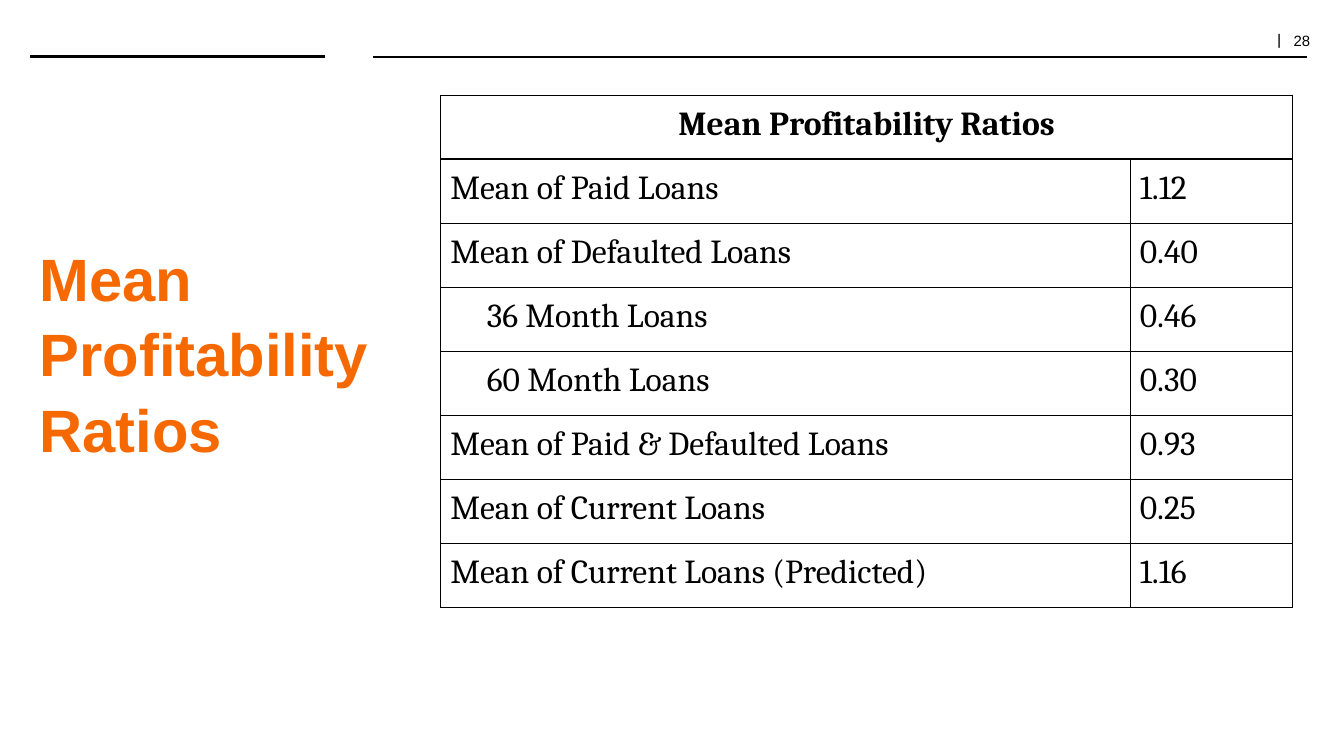
from lxml.etree import SubElement
from pptx import Presentation
from pptx.dml.color import RGBColor
from pptx.enum.shapes import MSO_CONNECTOR
from pptx.enum.text import MSO_ANCHOR, PP_ALIGN
from pptx.oxml.ns import qn
from pptx.util import Cm, Pt

HUES = {"ink": "000000", "title": "F66900", "paper": "FFFFFF"}


def hue(name):
    return RGBColor.from_string(HUES[name])


class Deck:
    sans = "Arial"
    serif = "Cambria"
    mark = "TeX Gyre Schola"

    def __init__(self, file):
        self.slide = file.slides.add_slide(file.slide_layouts[6])
        fill = self.slide.background.fill
        fill.solid()
        fill.fore_color.rgb = hue("paper")

    def run(self, para, text, size, face, color="ink", bold=False):
        run = para.add_run()
        run.text = text
        font = run.font
        font.size, font.name, font.bold = Pt(size), face, bold
        font.color.rgb = hue(color)
        return run

    def box(self, left, top, width, height, anchor=MSO_ANCHOR.TOP):
        area = [Cm(n) for n in (left, top, width, height)]
        frame = self.slide.shapes.add_textbox(*area).text_frame
        frame.word_wrap = True
        frame.vertical_anchor = anchor
        frame.margin_left = frame.margin_right = Cm(0.18)
        frame.margin_top = frame.margin_bottom = Cm(0.1)
        return frame.paragraphs[0]

    def rule(self, start, end, top, weight):
        line = self.slide.shapes.add_connector(
            MSO_CONNECTOR.STRAIGHT, Cm(start), Cm(top), Cm(end), Cm(top))
        line.line.color.rgb = hue("ink")
        line.line.width = Pt(weight)
        SubElement(line._element.spPr, qn("a:effectLst"))

    def edge(self, cell, thick):
        props = cell._tc.get_or_add_tcPr()
        for side in "LRTB":
            weight = 1 if side in thick else 0.75
            line = SubElement(props, qn(f"a:ln{side}"), w=str(Pt(weight)))
            fill = SubElement(line, qn("a:solidFill"))
            SubElement(fill, qn("a:srgbClr"), val=HUES["ink"])

    def cell(self, cell, text, bold=False, inset=0, thick=""):
        cell.margin_left = cell.margin_right = Cm(0.18)
        cell.margin_top = cell.margin_bottom = Cm(0.18)
        para = cell.text_frame.paragraphs[0]
        if inset:
            para._p.get_or_add_pPr().set("marL", str(Cm(inset)))
        if text:
            self.run(para, text, 18, self.serif, bold=bold)
        self.edge(cell, thick)
        cell.fill.background()
        return para

    def table(self, left, top, widths, height, head, rows):
        count = len(rows) + 1
        grid = self.slide.shapes.add_table(
            count, len(widths), Cm(left), Cm(top),
            Cm(sum(widths)), Cm(height * count)).table
        grid.first_row = grid.horz_banding = False
        for col, width in zip(grid.columns, widths):
            col.width = Cm(width)
        for row in grid.rows:
            row.height = Cm(height)
        grid.cell(0, 0).merge(grid.cell(0, 1))
        para = self.cell(grid.cell(0, 0), head, bold=True, thick="B")
        para.alignment = PP_ALIGN.CENTER
        self.cell(grid.cell(0, 1), "", thick="B")
        for at, (label, value, inset) in enumerate(rows, 1):
            thick = {1: "T", len(rows): "B"}.get(at, "")
            self.cell(grid.cell(at, 0), label, inset=inset, thick=thick)
            self.cell(grid.cell(at, 1), value, thick=thick)


def main():
    file = Presentation()
    file.slide_width, file.slide_height = Cm(25.4), Cm(14.29)
    deck = Deck(file)

    page = deck.box(23.9, 0.53, 1.5, 0.51)
    page.line_spacing = 0.8
    bar = deck.run(page, "| ", 9, deck.mark)
    bar.font._element.set("spc", "125")
    deck.run(page, "28", 8, deck.sans)

    deck.rule(0.57, 6.15, 1.07, 2)
    deck.rule(7.04, 24.71, 1.07, 1)

    title = deck.box(0.57, 1.8, 7.24, 9.68, MSO_ANCHOR.MIDDLE)
    title.space_before = Pt(6)
    title.line_spacing = 1.05
    deck.run(title, "Mean Profitability Ratios", 32, deck.sans, "title", True)

    rows = [
        ("Mean of Paid Loans", "1.12", 0),
        ("Mean of Defaulted Loans", "0.40", 0),
        ("36 Month Loans", "0.46", 0.69),
        ("60 Month Loans", "0.30", 0.69),
        ("Mean of Paid & Defaulted Loans", "0.93", 0),
        ("Mean of Current Loans", "0.25", 0),
        ("Mean of Current Loans (Predicted)", "1.16", 0),
    ]
    deck.table(8.33, 1.8, (13.03, 3.07), 1.21, "Mean Profitability Ratios", rows)
    file.save("out.pptx")


if __name__ == "__main__":
    main()
